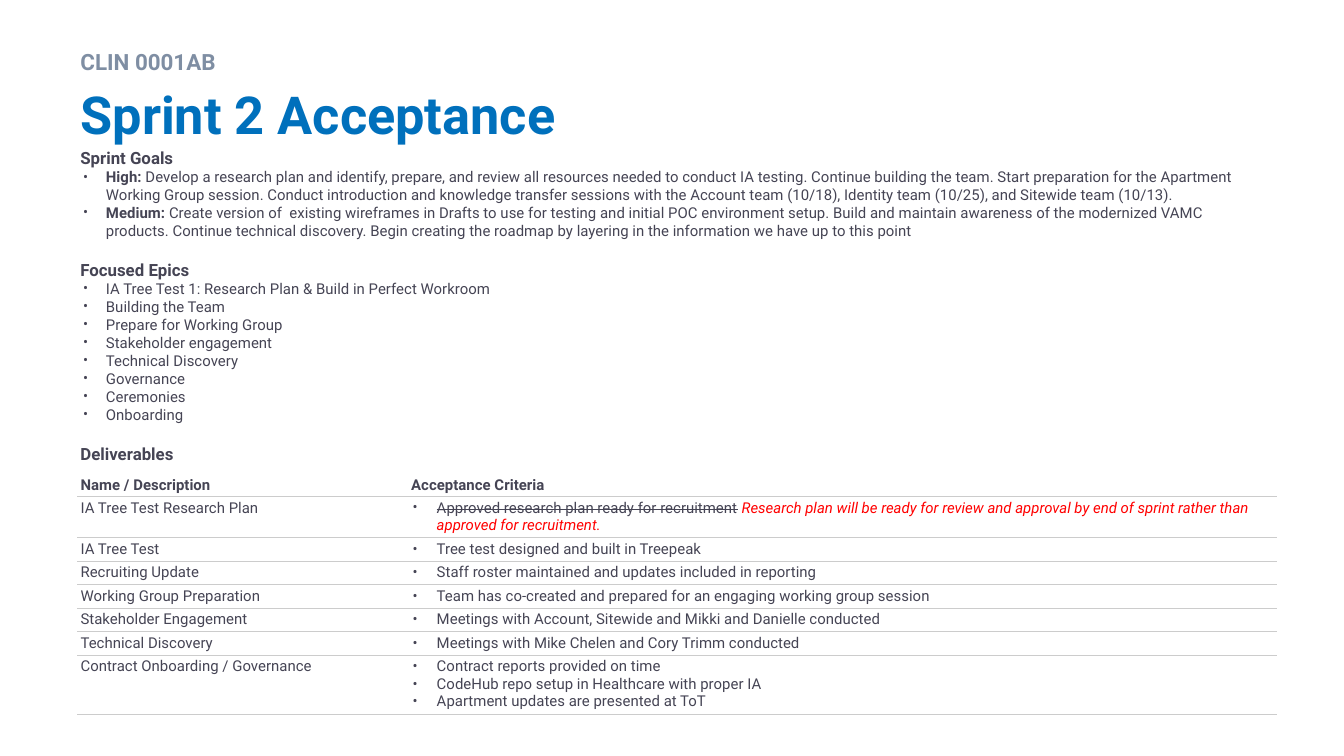
from lxml import etree
from pptx import Presentation
from pptx.dml.color import RGBColor
from pptx.enum import text
from pptx.oxml import ns
from pptx.util import Inches, Pt

SLATE = RGBColor(0x45, 0x44, 0x54)
GREY = RGBColor(0x7F, 0x8E, 0xA3)
BLUE = RGBColor(0x00, 0x70, 0xBC)
RED = RGBColor(0xFF, 0x00, 0x00)
RULE = RGBColor(0xCC, 0xCC, 0xCC)
WHITE = RGBColor(0xFF, 0xFF, 0xFF)


def add_bullet(para, indent):
    props = para._p.get_or_add_pPr()
    props.set("marL", str(Inches(0.19)))
    props.set("indent", str(-Inches(indent)))
    color = etree.SubElement(props, ns.qn("a:buClr"))
    etree.SubElement(color, ns.qn("a:srgbClr"), val=str(SLATE))
    etree.SubElement(props, ns.qn("a:buSzPts"), val="800")
    etree.SubElement(props, ns.qn("a:buFont"), typeface="Roboto")
    etree.SubElement(props, ns.qn("a:buChar"), char="•")


def add_span(para, words, size, color=SLATE, bold=False):
    span = para.add_run()
    span.text = words
    span.font.name = "Roboto"
    span.font.size = Pt(size)
    span.font.bold = bold
    span.font.color.rgb = color
    return span


# Widescreen 16:9 page
deck = Presentation()
deck.slide_width = Inches(10)
deck.slide_height = deck.slide_width * 9 // 16
page = deck.slides.add_slide(deck.slide_layouts[5])

# Title
title = page.shapes.title
title.left, title.top = Inches(0.5), Inches(0.56)
title.width, title.height = Inches(9), Inches(0.69)
title.text_frame.vertical_anchor = text.MSO_ANCHOR.MIDDLE
title.text_frame.margin_bottom = Inches(0.11)
para = title.text_frame.paragraphs[0]
para.alignment = text.PP_ALIGN.LEFT
para.line_spacing = 0.9
add_span(para, "Sprint 2 Acceptance", 28, BLUE, True)

# Contract line above the title
box = page.shapes.add_textbox(Inches(0.5), Inches(0.27), Inches(9), Inches(0.29))
box.text_frame.word_wrap = True
para = box.text_frame.paragraphs[0]
para.line_spacing = 1.2
add_span(para, "CLIN 0001AB", 12, GREY, True)

# Goals and epics: heading, then (bold lead, words) bullets
sections = [
    ("Sprint Goals", [
        ("High:", " Develop a research plan and identify, prepare, and review all resources "
         "needed to conduct IA testing. Continue building the team. Start preparation for "
         "the Apartment Working Group session. Conduct introduction and knowledge transfer "
         "sessions with the Account team (10/18), Identity team (10/25), and Sitewide team "
         "(10/13)."),
        ("Medium: ", "Create version of  existing wireframes in Drafts to use for testing and "
         "initial POC environment setup. Build and maintain awareness of the modernized VAMC "
         "products. Continue technical discovery. Begin creating the roadmap by layering in "
         "the information we have up to this point"),
    ]),
    ("Focused Epics", [
        ("", "IA Tree Test 1: Research Plan & Build in Perfect Workroom"),
        ("", "Building the Team"),
        ("", "Prepare for Working Group"),
        ("", "Stakeholder engagement"),
        ("", "Technical Discovery"),
        ("", "Governance"),
        ("", "Ceremonies"),
        ("", "Onboarding"),
    ]),
    ("Deliverables", []),
]
box = page.shapes.add_textbox(Inches(0.5), Inches(1), Inches(9), Inches(2.58))
frame = box.text_frame
frame.word_wrap = True
frame.margin_top = frame.margin_bottom = Inches(0.1)
for index, (heading, bullets) in enumerate(sections):
    para = frame.add_paragraph() if index else frame.paragraphs[0]
    if index:
        para.space_before = Pt(10.8)
    add_span(para, heading, 9, bold=True)
    for lead, words in bullets:
        para = frame.add_paragraph()
        add_bullet(para, 0.17)
        if lead:
            add_span(para, lead, 8, bold=True)
        add_span(para, words, 8)

# Deliverables table: name, acceptance criteria
STRUCK = "Approved research plan ready for recruitment"
REVISED = ("Research plan will be ready for review and approval by end of sprint "
           "rather than approved for recruitment.")
deliverables = [
    ("Name / Description", ["Acceptance Criteria"]),
    ("IA Tree Test Research Plan", [STRUCK]),
    ("IA Tree Test", ["Tree test designed and built in Treepeak"]),
    ("Recruiting Update", ["Staff roster maintained and updates included in reporting"]),
    ("Working Group Preparation",
     ["Team has co-created and prepared for an engaging working group session"]),
    ("Stakeholder Engagement",
     ["Meetings with Account, Sitewide and Mikki and Danielle conducted"]),
    ("Technical Discovery", ["Meetings with Mike Chelen and Cory Trimm conducted"]),
    ("Contract Onboarding / Governance",
     ["Contract reports provided on time",
      "CodeHub repo setup in Healthcare with proper IA",
      "Apartment updates are presented at ToT"]),
]
table = page.shapes.add_table(len(deliverables), 2, Inches(0.58), Inches(3.52),
                              Inches(8.92), Inches(1.79)).table
table.first_row = table.horz_banding = False
table.columns[0].width, table.columns[1].width = Inches(2.46), Inches(6.46)

for row, (name, criteria) in enumerate(deliverables):
    lines = 2 if STRUCK in criteria else len(criteria)
    table.rows[row].height = Inches(0.7) // 4 + Inches(0.13) * (lines - 1)
    for column, entries in enumerate(([name], criteria)):
        cell = table.cell(row, column)
        cell.margin_left = cell.margin_right = Inches(0.02)
        cell.margin_top = cell.margin_bottom = Inches(0.02)
        cell.vertical_anchor = text.MSO_ANCHOR.TOP if row else text.MSO_ANCHOR.BOTTOM

        # Grey rules between rows, white elsewhere
        edges = {"L": WHITE, "R": WHITE, "T": RULE if row else WHITE, "B": RULE}
        for side, color in edges.items():
            line = etree.SubElement(cell._tc.get_or_add_tcPr(), ns.qn("a:ln" + side),
                                    w=str(Pt(0.75)))
            fill = etree.SubElement(line, ns.qn("a:solidFill"))
            etree.SubElement(fill, ns.qn("a:srgbClr"), val=str(color))
        cell.fill.background()

        for index, words in enumerate(entries):
            frame = cell.text_frame
            para = frame.add_paragraph() if index else frame.paragraphs[0]
            if row and column:
                add_bullet(para, 0.18)
            span = add_span(para, words, 8, bold=row == 0)
            if words == STRUCK:
                span.font._element.set("strike", "sngStrike")
                add_span(para, " ", 8, RED)
                add_span(para, REVISED, 8, RED).font.italic = True

deck.save("out.pptx")
